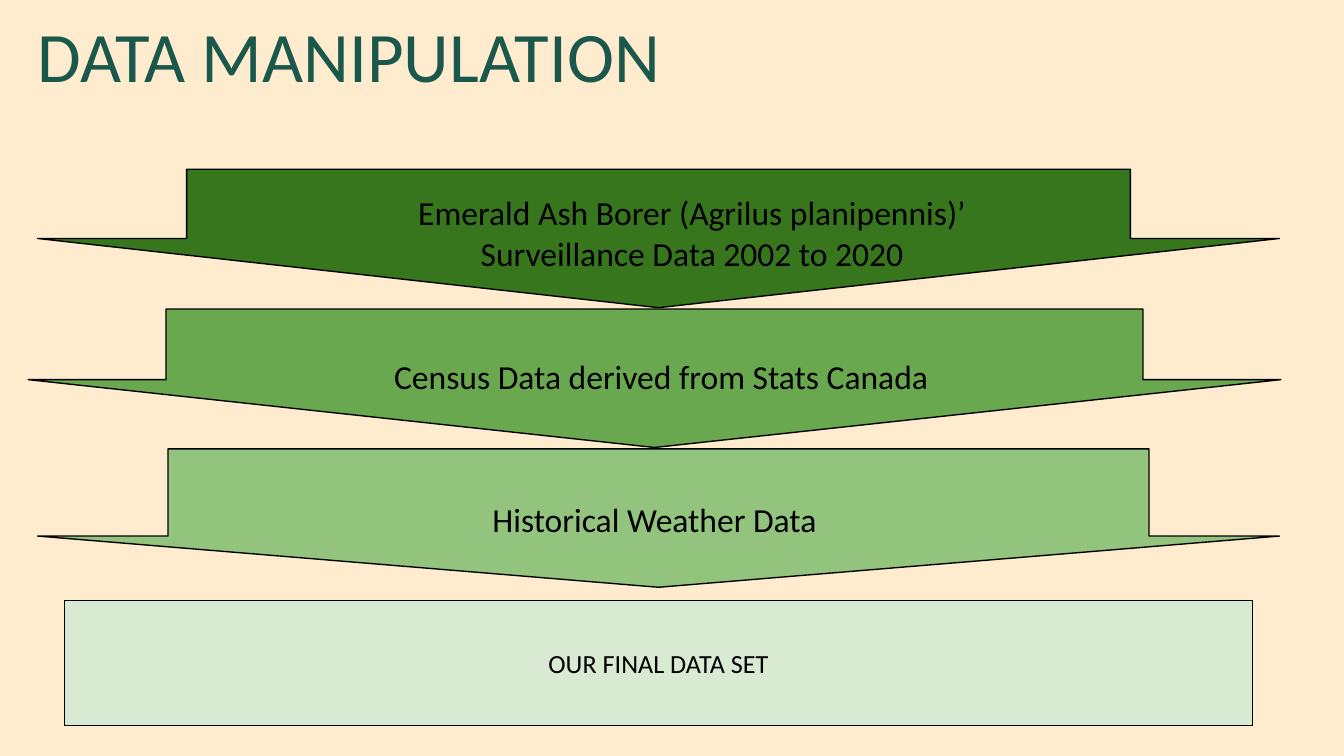
"""Build the data manipulation slide: three stacked arrows leading to a final data set."""
from pptx import Presentation
from pptx.dml.color import RGBColor
from pptx.enum import shapes, text
from pptx.util import Inches, Pt

CREAM = RGBColor(0xFF, 0xEC, 0xCE)
TEAL = RGBColor(0x1B, 0x58, 0x4C)
BLACK = RGBColor(0, 0, 0)
DARK = RGBColor(0x38, 0x76, 0x1D)
GREEN = RGBColor(0x6A, 0xA8, 0x4F)
LIGHT = RGBColor(0x93, 0xC4, 0x7D)
PALE = RGBColor(0xD9, 0xEA, 0xD3)


def write(frame, lines, size, color, align):
    frame.word_wrap = True
    for i, line in enumerate(lines):
        para = frame.paragraphs[0] if i == 0 else frame.add_paragraph()
        para.text = line
        para.alignment = align
        para.font.name = "Calibri"
        para.font.size = Pt(size)
        para.font.color.rgb = color


def block(kind, box, fill, lines, size):
    shape = slide.shapes.add_shape(kind, *map(Inches, box))
    shape.shadow.inherit = False
    shape.fill.solid()
    shape.fill.fore_color.rgb = fill
    shape.line.color.rgb = BLACK
    shape.line.width = Pt(0.75)
    write(shape.text_frame, lines, size, BLACK, text.PP_ALIGN.CENTER)
    return shape


deck = Presentation()
deck.slide_width = Inches(10)
deck.slide_height = deck.slide_width * 9 // 16
slide = deck.slides.add_slide(deck.slide_layouts[6])
slide.background.fill.solid()
slide.background.fill.fore_color.rgb = CREAM

title = slide.shapes.add_textbox(Inches(0.28), Inches(0.14), Inches(8.97), Inches(0.59))
frame = title.text_frame
frame.margin_left = frame.margin_right = frame.margin_top = frame.margin_bottom = 0
write(frame, ["DATA MANIPULATION"], 38, TEAL, text.PP_ALIGN.LEFT)
frame.paragraphs[0].line_spacing = 0.93

steps = [
    (0.28, 9.24, 0.76, 0.5, DARK, 0.6, 0.17,
     ["Emerald Ash Borer (Agrilus planipennis)’", "Surveillance Data 2002 to 2020"]),
    (0.21, 9.32, 0.78, 0.49, GREEN, 0.2, 0.35,
     ["Census Data derived from Stats Canada"]),
    (0.28, 9.24, 0.79, 0.37, LIGHT, 0.04, 0.37, ["Historical Weather Data"]),
]
for i, (left, width, shaft, head, fill, inset, drop, lines) in enumerate(steps):
    arrow = block(shapes.MSO_SHAPE.DOWN_ARROW, (left, 1.26 + 1.04 * i, width, 1.03),
                  fill, lines, 18)
    arrow.adjustments[0] = shaft
    arrow.adjustments[1] = head
    frame = arrow.text_frame
    frame.vertical_anchor = text.MSO_ANCHOR.TOP
    frame.margin_left, frame.margin_right = Inches(inset), Inches(0.1)
    frame.margin_top, frame.margin_bottom = Inches(drop), 0

final = block(shapes.MSO_SHAPE.RECTANGLE, (0.48, 4.47, 8.84, 0.93), PALE,
              ["OUR FINAL DATA SET"], 14)
final.text_frame.vertical_anchor = text.MSO_ANCHOR.MIDDLE

deck.save("out.pptx")
